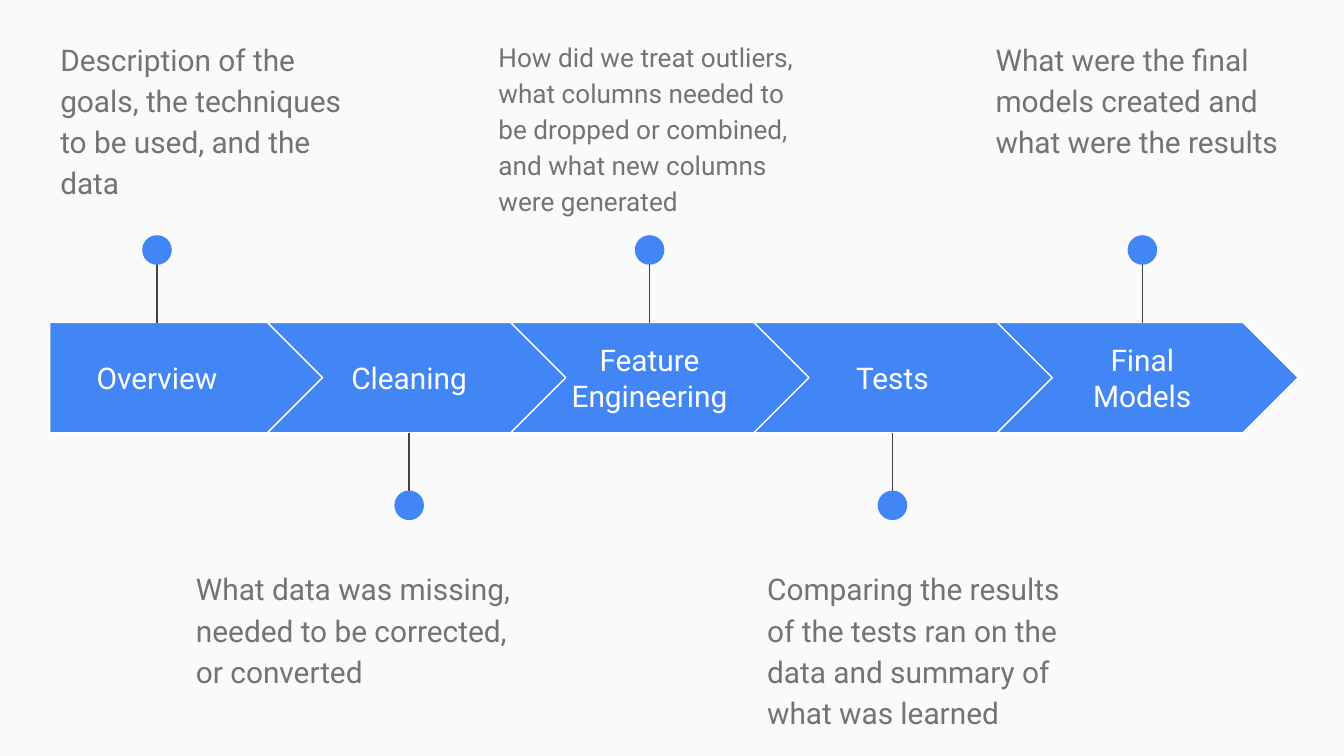
import pptx
import pptx.dml.color
import pptx.enum.shapes
import pptx.enum.text
import pptx.util
from lxml import etree

Pt = pptx.util.Pt
SHAPE = pptx.enum.shapes.MSO_SHAPE
ALIGN = pptx.enum.text.PP_ALIGN
ANCHOR = pptx.enum.text.MSO_ANCHOR

COLORS = {
    "background": "FAFAFA",
    "blue": "4285F4",
    "white": "FFFFFF",
    "stem": "424242",
    "note": "737373",
}
FONT = "Roboto"

BAND_LEFT, BAND_TOP, BAND_HEIGHT = 26.64, 172.8, 59.04
FIRST_WIDTH, CHEVRON_WIDTH = 147.6, 161.28
CHEVRON_LEFT, PITCH = 143.28, 130.32
LABEL_HEIGHT = 36.72
DOT, STEM_REACH = 15.84, 43.2
NOTE_HEIGHT, NOTE_TOP_ABOVE, NOTE_TOP_BELOW = 71.28, 12.24, 295.92

# label, label width, stem x, note, note left, note width, note size
STEPS = [
    ("Overview", 114.48, 84.1,
     "Description of the goals, the techniques to be used, and the data",
     25.2, 176.4, 16),
    ("Cleaning", 103.68, 219.2,
     "What data was missing, needed to be corrected, or converted",
     97.92, 185.76, 16),
    ("Feature Engineering", 103.68, 348,
     "How did we treat outliers, what columns needed to be dropped or "
     "combined, and what new columns were generated",
     259.92, 176.4, 14),
    ("Tests", 103.68, 478.1,
     "Comparing the results of the tests ran on the data and summary of "
     "what was learned",
     403.92, 176.4, 16),
    ("Final Models", 103.68, 612,
     "What were the final models created and what were the results",
     526.32, 176.4, 16),
]


def rgb(name):
    return pptx.dml.color.RGBColor.from_string(COLORS[name])


def add_text(slide, box, text, size, color, align=ALIGN.LEFT, anchor=ANCHOR.TOP):
    """Add a wrapped one-paragraph text box and return its paragraph."""
    frame = slide.shapes.add_textbox(*map(Pt, box)).text_frame
    frame.word_wrap = True
    frame.vertical_anchor = anchor
    frame.margin_left = frame.margin_right = Pt(7.2)
    frame.margin_top = frame.margin_bottom = Pt(7.2)
    paragraph = frame.paragraphs[0]
    paragraph.text = text
    paragraph.alignment = align
    paragraph.font.name = FONT
    paragraph.font.size = Pt(size)
    paragraph.font.color.rgb = rgb(color)
    return paragraph


def add_segment(slide, box, kind):
    segment = slide.shapes.add_shape(kind, *map(Pt, box))
    segment.shadow.inherit = False
    segment.adjustments[0] = 0.5
    segment.fill.solid()
    segment.fill.fore_color.rgb = rgb("blue")
    segment.line.color.rgb = rgb("white")
    segment.line.width = Pt(0.75)


def add_label(slide, center, width, text):
    top = BAND_TOP + (BAND_HEIGHT - LABEL_HEIGHT) / 2
    add_text(slide, (center - width / 2, top, width, LABEL_HEIGHT),
             text, 16, "white", ALIGN.CENTER, ANCHOR.MIDDLE)


def add_pin(slide, x, edge, direction):
    """Draw a stem from the band edge up (-1) or down (1) to a dot."""
    pin = slide.shapes.add_group_shape()
    stem = pin.shapes.add_connector(
        pptx.enum.shapes.MSO_CONNECTOR.STRAIGHT,
        Pt(x), Pt(edge + direction * STEM_REACH), Pt(x), Pt(edge))
    stem.line.color.rgb = rgb("stem")
    stem.line.width = Pt(0.75)
    etree.SubElement(stem._element.spPr, pptx.oxml.ns.qn("a:effectLst"))

    dot_center = edge + direction * (STEM_REACH - 4.32)
    dot = pin.shapes.add_shape(SHAPE.OVAL, Pt(x - DOT / 2),
                               Pt(dot_center - DOT / 2), Pt(DOT), Pt(DOT))
    dot.shadow.inherit = False
    dot.fill.solid()
    dot.fill.fore_color.rgb = rgb("blue")
    dot.line.fill.background()


def add_note(slide, box, text, size):
    note = add_text(slide, box, text, size, "note")
    note.line_spacing = 1.15
    note.space_after = Pt(16)


def add_timeline(slide):
    for index, step in enumerate(STEPS):
        label, label_width, stem_x, note, note_left, note_width, note_size = step
        if index == 0:
            left, width, kind = BAND_LEFT, FIRST_WIDTH, SHAPE.PENTAGON
        else:
            left = CHEVRON_LEFT + (index - 1) * PITCH
            width, kind = CHEVRON_WIDTH, SHAPE.CHEVRON
        if index % 2 == 0:
            edge, direction, note_top = BAND_TOP, -1, NOTE_TOP_ABOVE
        else:
            edge, direction, note_top = BAND_TOP + BAND_HEIGHT, 1, NOTE_TOP_BELOW

        add_segment(slide, (left, BAND_TOP, width, BAND_HEIGHT), kind)
        add_label(slide, stem_x, label_width, label)
        add_pin(slide, stem_x, edge, direction)
        add_note(slide, (note_left, note_top, note_width, NOTE_HEIGHT),
                 note, note_size)


def main():
    deck = pptx.Presentation()
    deck.slide_width, deck.slide_height = Pt(720), Pt(405)
    slide = deck.slides.add_slide(deck.slide_layouts[6])
    slide.background.fill.solid()
    slide.background.fill.fore_color.rgb = rgb("background")
    add_timeline(slide)
    deck.save("out.pptx")


if __name__ == "__main__":
    main()
